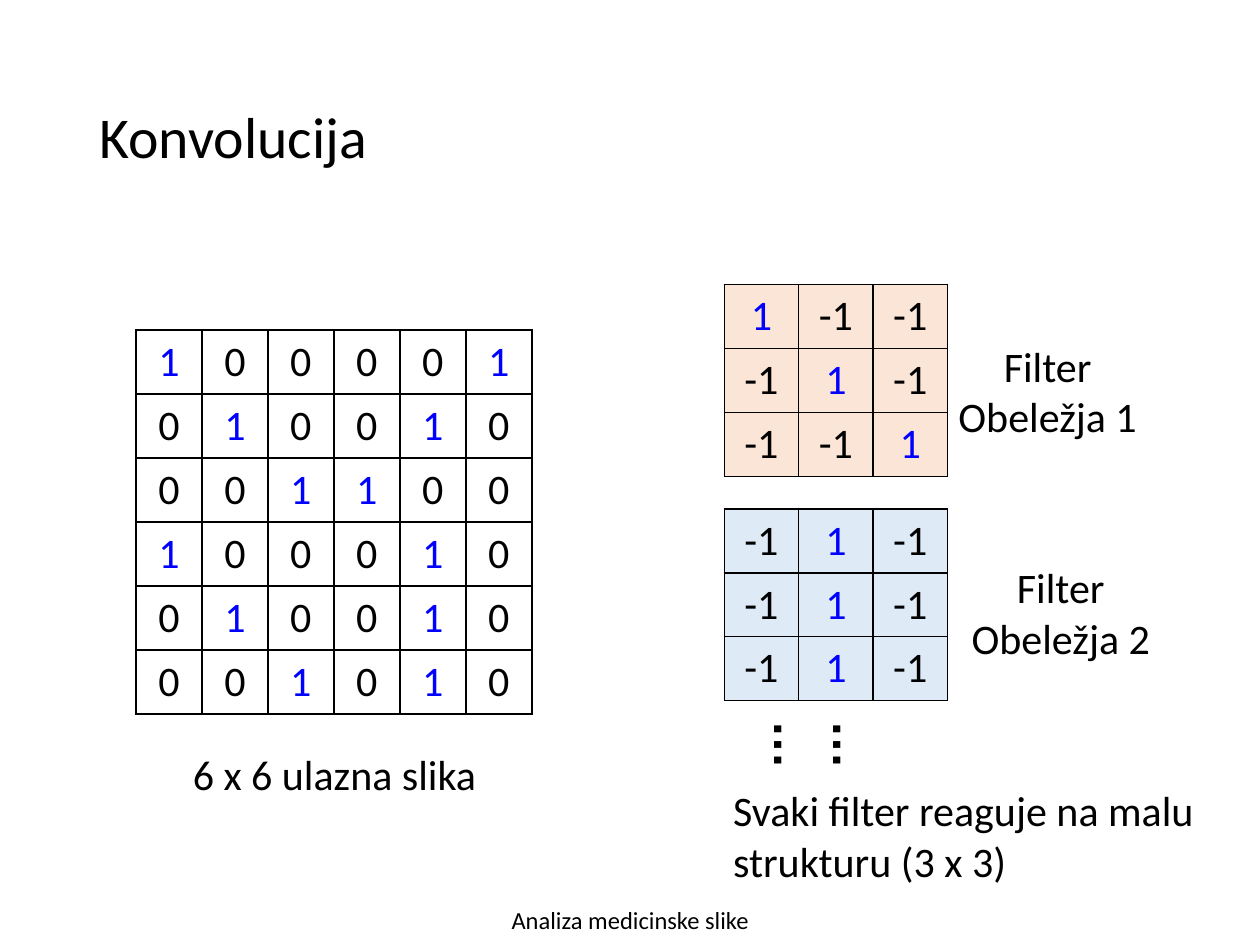
from lxml.etree import SubElement
from pptx import Presentation
from pptx.dml.color import RGBColor
from pptx.enum.text import MSO_ANCHOR, MSO_AUTO_SIZE, PP_ALIGN
from pptx.oxml.ns import qn
from pptx.util import Cm, Pt

# Content
TITLE = "Konvolucija"
INPUT_IMAGE = ["100001", "010010", "001100", "100010", "010010", "001010"]
DIAGONAL_FILTER = [[1 if row == column else -1 for column in range(3)] for row in range(3)]
VERTICAL_FILTER = [[-1, 1, -1]] * 3

THEME = {
    "font": "Calibri", "dots_font": "Arial",
    "text": RGBColor(0, 0, 0), "one": RGBColor(0, 0, 255), "border": "000000",
    "orange": RGBColor(0xFB, 0xE5, 0xD6), "blue": RGBColor(0xDE, 0xEB, 0xF7),
    "title_size": 33, "body_size": 24, "dots_size": 28, "footer_size": 14,
}

# Values, left, top, column width, row height, fill
GRIDS = [
    (INPUT_IMAGE, 2.74, 6.65, 1.33, 1.29, None),
    (DIAGONAL_FILTER, 14.6, 5.74, 1.5, 1.27, "orange"),
    (VERTICAL_FILTER, 14.6, 10.26, 1.5, 1.27, "blue"),
]

# Text, left, top, width, height, alignment
LABELS = [
    ("6 x 6 ulazna slika", 3.48, 14.96, 6.53, 1.27, PP_ALIGN.CENTER),
    ("Filter Obeležja 1", 18.87, 6.73, 4.5, 2.31, PP_ALIGN.CENTER),
    ("Filter Obeležja 2", 18.87, 11.2, 5.03, 2.31, PP_ALIGN.CENTER),
    ("Svaki filter reaguje na malu strukturu (3 x 3)", 14.53, 15.7, 9.88, 2.31, PP_ALIGN.LEFT),
]


def add_run(paragraph, text, size, color="text", font="font", bold=False):
    run = paragraph.add_run()
    run.text = text
    run.font.name = THEME[font]
    run.font.size = Pt(THEME[size])
    run.font.color.rgb = THEME[color]
    run.font.bold = bold


def add_label(slide, text, left, top, width, height, alignment, size="body_size",
              grow=True, **style):
    box = slide.shapes.add_textbox(Cm(left), Cm(top), Cm(width), Cm(height))
    frame = box.text_frame
    frame.word_wrap = True
    frame.auto_size = MSO_AUTO_SIZE.SHAPE_TO_FIT_TEXT if grow else MSO_AUTO_SIZE.NONE
    paragraph = frame.paragraphs[0]
    paragraph.alignment = alignment
    add_run(paragraph, text, size, **style)
    return box


def add_borders(cell):
    properties = cell._tc.get_or_add_tcPr()
    for index, side in enumerate(("lnL", "lnR", "lnT", "lnB")):
        line = properties.makeelement(qn(f"a:{side}"), {"w": str(Pt(1))})
        fill = SubElement(line, qn("a:solidFill"))
        SubElement(fill, qn("a:srgbClr"), val=THEME["border"])
        properties.insert(index, line)


def add_grid(slide, values, left, top, column_width, row_height, fill):
    rows, columns = len(values), len(values[0])
    table = slide.shapes.add_table(rows, columns, Cm(left), Cm(top),
                                   Cm(column_width * columns), Cm(row_height * rows)).table
    table.first_row = table.horz_banding = False
    for column in table.columns:
        column.width = Cm(column_width)
    for row, row_values in zip(table.rows, values):
        row.height = Cm(row_height)
        for cell, value in zip(row.cells, row_values):
            if fill:
                cell.fill.solid()
                cell.fill.fore_color.rgb = THEME[fill]
            else:
                cell.fill.background()
            add_borders(cell)
            paragraph = cell.text_frame.paragraphs[0]
            paragraph.alignment = PP_ALIGN.CENTER
            add_run(paragraph, str(value), "body_size", "one" if str(value) == "1" else "text")


def main():
    presentation = Presentation()
    presentation.slide_width, presentation.slide_height = Cm(25.4), Cm(19.05)
    slide = presentation.slides.add_slide(presentation.slide_layouts[5])

    # Title
    title = slide.shapes.title
    title.left, title.top, title.width, title.height = Cm(1.75), Cm(1.52), Cm(21.9), Cm(2.6)
    title.text_frame.vertical_anchor = MSO_ANCHOR.MIDDLE
    paragraph = title.text_frame.paragraphs[0]
    paragraph.alignment = PP_ALIGN.LEFT
    paragraph.line_spacing = 0.9
    add_run(paragraph, TITLE, "title_size")

    # Input image and filters
    for grid in GRIDS:
        add_grid(slide, *grid)
    for label in LABELS:
        add_label(slide, *label)

    # Further filters
    dots = add_label(slide, "……", 16.2, 14.53, 1.96, 1.45, PP_ALIGN.LEFT,
                     "dots_size", font="dots_font", bold=True)
    dots.rotation = 90

    # Footer
    add_label(slide, "Analiza medicinske slike", 8.41, 18.11, 8.59, 1.02, PP_ALIGN.CENTER,
              "footer_size", grow=False)
    presentation.save("out.pptx")


if __name__ == "__main__":
    main()
